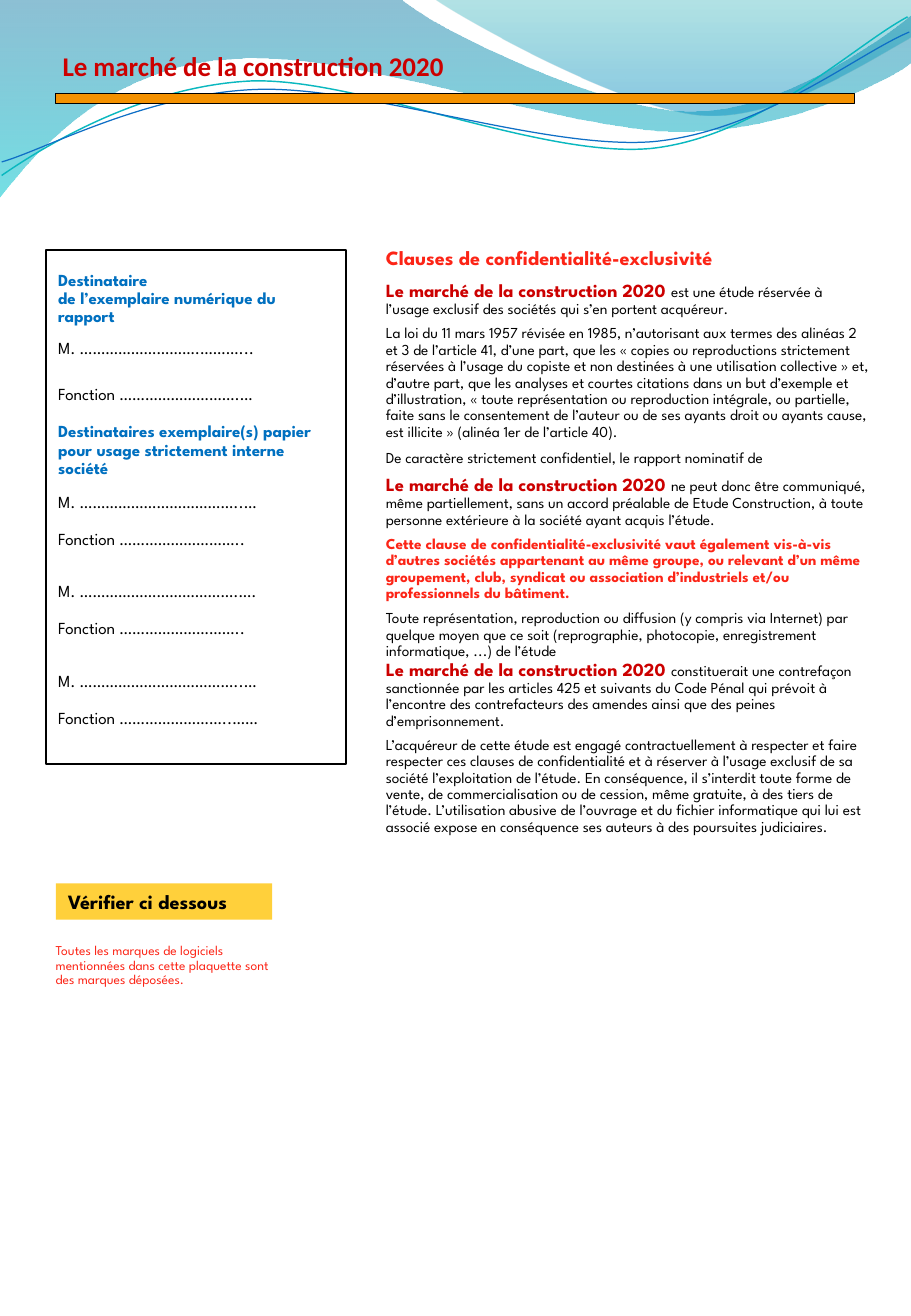
import pptx
import pptx.util
import pptx.dml.color
import pptx.enum.text
import pptx.enum.shapes
import pptx.oxml.ns
import lxml.etree

Pt = pptx.util.Pt
ANCHOR = pptx.enum.text.MSO_ANCHOR
RECTANGLE = pptx.enum.shapes.MSO_SHAPE.RECTANGLE
qn = pptx.oxml.ns.qn

COLORS = {"black": "000000", "crimson": "CC0000", "red": "FC2416", "blue": "0070C0",
          "orange": "F49100", "yellow": "FFD03B", "teal line": "0AB8BF", "blue line": "0F6FC6",
          "deep blue": "0074A1", "turquoise": "00C6CF", "teal": "00A1A9", "sky": "008BBF"}
BODY_FONT = "League Spartan"
# style: font, size, colour, bold
STYLES = {"title": ("Calibri", 16, "crimson", True),
          "heading": (BODY_FONT, 12, "red", True),
          "study": (BODY_FONT, 11, "crimson", True),
          "body": (BODY_FONT, 9, "black", False),
          "warning": (BODY_FONT, 9, "red", True),
          "recipient": (BODY_FONT, 10, "blue", True),
          "field": (BODY_FONT, 10, "black", False),
          "notice": (BODY_FONT, 8, "red", False),
          "label": (BODY_FONT, 12, "black", True)}
STUDY = "Le marché de la construction 2020"


def rgb(name):
    """Return the named colour."""
    return pptx.dml.color.RGBColor.from_string(COLORS[name])


def set_font(font, style):
    """Apply a named text style to a font."""
    font.name, size, color, font.bold = STYLES[style]
    font.size = Pt(size)
    font.color.rgb = rgb(color)


def write_text(shape, paragraphs, inset_top=3.6, anchor=ANCHOR.TOP, line_spacing=0.9):
    """Fill a shape with (space before, [(text, style), ...]) paragraphs."""
    frame = shape.text_frame
    frame.word_wrap = True
    frame.vertical_anchor = anchor
    frame.margin_left = frame.margin_right = Pt(7.2)
    frame.margin_top, frame.margin_bottom = Pt(inset_top), Pt(3.6)
    for index, (space, spans) in enumerate(paragraphs):
        para = frame.add_paragraph() if index else frame.paragraphs[0]
        para.alignment = pptx.enum.text.PP_ALIGN.LEFT
        para.line_spacing = line_spacing
        para.space_before = Pt(space)
        for text, style in spans:
            span = para.add_run()
            span.text = text
            set_font(para.font if len(spans) == 1 else span.font, style)


def add_rectangle(page, box, fill=None, line=None, line_width=1):
    """Add a plain rectangle with an optional fill and outline."""
    shape = page.shapes.add_shape(RECTANGLE, *map(Pt, box))
    shape.shadow.inherit = False
    if fill:
        shape.fill.solid()
        shape.fill.fore_color.rgb = rgb(fill)
    else:
        shape.fill.background()
    if line:
        shape.line.color.rgb = rgb(line)
        shape.line.width = Pt(line_width)
    else:
        shape.line.fill.background()
    return shape


def add_text(page, box, paragraphs, **options):
    """Add a text box holding the given paragraphs."""
    write_text(page.shapes.add_textbox(*map(Pt, box)), paragraphs, **options)


def add_curve(page, box, start, segments, closed=False):
    """Draw an outline; segments of three points are Bezier curves, of one point lines."""
    left, top = box[:2]
    points = [(left + x, top + y) for segment in segments for x, y in segment]
    builder = page.shapes.build_freeform(left + start[0], top + start[1], scale=Pt(1))
    builder.add_line_segments(points, close=closed)
    shape = builder.convert_to_shape()
    shape.shadow.inherit = False
    lines = iter(shape.element.findall(".//" + qn("a:lnTo")))
    for segment in segments:
        steps = [next(lines) for point in segment]
        if len(steps) == 3:
            curve = lxml.etree.Element(qn("a:cubicBezTo"))
            steps[0].addprevious(curve)
            for step in steps:
                curve.append(step[0])
                step.getparent().remove(step)
    return shape


def fill_gradient(shape, stops):
    """Fill from top to bottom with (position, colour, opacity percent) stops."""
    shape.line.fill.background()
    shape.fill.gradient()
    shape.fill.gradient_angle = 270
    for stop, (position, color, opacity) in zip(shape.fill.gradient_stops, stops):
        stop.position = position
        stop.color.rgb = rgb(color)
    for node, (position, color, opacity) in zip(shape.element.iter(qn("a:srgbClr")), stops):
        lxml.etree.SubElement(node, qn("a:alpha"), val=str(opacity * 1000))


def add_waves(page, box):
    """Draw the two shaded waves and the two thin wave lines."""
    broad = add_curve(page, box, (0, 0), [
        [(238, 0)],
        [(257, 17.3), (358.6, 65.5), (409.7, 65.5)],
        [(460.8, 65.5), (517.7, 26.6), (540, 9.4)],
        [(540, 37.4)],
        [(531.4, 45.4), (469.4, 78.5), (402.5, 78.5)],
        [(335.5, 77.8), (205.9, 28.8), (139, 35.3)],
        [(69.8, 36.7), (24.5, 86.4), (0, 117.4)]], closed=True)
    fill_gradient(broad, [(0, "deep blue", 45), (1, "turquoise", 55)])
    corner = add_curve(page, box, (258.5, 0), [
        [(275, 11.5), (367.9, 64.1), (415.4, 67.7)],
        [(462.2, 72), (519.1, 33.1), (540, 21.6)],
        [(540, 0)]], closed=True)
    fill_gradient(corner, [(0, "teal", 30), (0.8, "sky", 45)])
    wave_lines = [
        ("teal line", 0.85, (0.7, 103.7), [
            [(26.6, 86.4), (85, 51.1), (149, 48.2)],
            [(213.1, 46.1), (321.1, 94.3), (385.9, 87.8)],
            [(450.7, 81.4), (506.2, 26.6), (537.8, 10.1)]]),
        ("blue line", 0.75, (0.7, 95.8), [
            [(25.9, 88.6), (87.8, 55.4), (152.6, 53.3)],
            [(216.7, 51.1), (323.3, 89.3), (387.4, 83.5)],
            [(452.2, 77.8), (507.6, 31.7), (539.3, 18.7)]])]
    for color, width, start, segments in wave_lines:
        wave = add_curve(page, box, start, segments)
        wave.fill.background()
        wave.line.color.rgb = rgb(color)
        wave.line.width = Pt(width)


def add_header(page, box):
    """Add the orange bar and the title above it."""
    left, top, width, height = box
    add_rectangle(page, (left + 2.9, top + 42.5, 473.8, 5.8), "orange", "black", 0.5)
    add_text(page, box, [(0, [(STUDY, "title")])], anchor=ANCHOR.MIDDLE, line_spacing=0.95)


def add_recipients(page, box):
    """Add the framed form naming the recipients."""
    rows = [
        (0, "Destinataire", "recipient"),
        (0, "de l’exemplaire numérique du rapport", "recipient"),
        (8, "M. ……………………….………...", "field"),
        (16.3, "Fonction ……………………….…", "field"),
        (11.5, "Destinataires exemplaire(s) papier pour usage strictement interne société",
         "recipient"),
        (9.2, "M. ………………………………..…", "field"),
        (11, "Fonction ………………………..", "field"),
        (20.5, "M. ……………………………….….", "field"),
        (11, "Fonction ………………………..", "field"),
        (20.5, "M. ………………………………..…", "field"),
        (11, "Fonction ……………………..……", "field")]
    paragraphs = [(space, [(text, style)]) for space, text, style in rows]
    write_text(add_rectangle(page, box, line="black"), paragraphs, inset_top=12.6)


def add_clauses(page, box):
    """Add the confidentiality clauses."""
    study = (STUDY + " ", "study")
    add_text(page, box, [
        (0, [("Clauses de confidentialité-exclusivité", "heading")]),
        (7, [study, ("est une étude réservée à l’usage exclusif des sociétés qui s’en portent "
                     "acquéreur.", "body")]),
        (4.5, [("La loi du 11 mars 1957 révisée en 1985, n’autorisant aux termes des alinéas 2 et "
                "3 de l’article 41, d’une part, que les «\u00a0copies ou reproductions strictement "
                "réservées à l’usage du copiste et non destinées à une utilisation "
                "collective\u00a0» et, d’autre part, que les analyses et courtes citations dans un "
                "but d’exemple et d’illustration, «\u00a0toute représentation ou reproduction "
                "intégrale, ou partielle, faite sans le consentement de l’auteur ou de ses ayants "
                "droit ou ayants cause, est illicite\u00a0» (alinéa 1er de l’article 40).",
                "body")]),
        (5.5, [("De caractère strictement confidentiel, le rapport nominatif de", "body")]),
        (5.5, [study, ("ne peut donc être communiqué, même partiellement, sans un accord préalable "
                       "de Etude Construction, à toute personne extérieure à la société ayant "
                       "acquis l’étude.", "body")]),
        (4.5, [("Cette clause de confidentialité-exclusivité vaut également vis-à-vis d’autres "
                "sociétés appartenant au même groupe, ou relevant d’un même groupement, club, "
                "syndicat ou association d’industriels et/ou professionnels du bâtiment.",
                "warning")]),
        (5, [("Toute représentation, reproduction ou diffusion (y compris via Internet) par "
              "quelque moyen que ce soit (reprographie, photocopie, enregistrement informatique, "
              "...) de l’étude", "body")]),
        (0, [study, ("constituerait une contrefaçon sanctionnée par les articles 425 et suivants "
                     "du Code Pénal qui prévoit à l’encontre des contrefacteurs des amendes ainsi "
                     "que des peines d’emprisonnement.", "body")]),
        (4.5, [("L’acquéreur de cette étude est engagé contractuellement à respecter et faire "
                "respecter ces clauses de confidentialité et à réserver à l’usage exclusif de sa "
                "société l’exploitation de l’étude. En conséquence, il s’interdit toute forme de "
                "vente, de commercialisation ou de cession, même gratuite, à des tiers de "
                "l’étude. L’utilisation abusive de l’ouvrage et du fichier informatique qui lui "
                "est associé expose en conséquence ses auteurs à des poursuites judiciaires.",
                "body")])])


def add_trademark_notice(page, box):
    """Add the yellow label and the trademark notice below it."""
    left, top, width, height = box
    label = add_rectangle(page, (left + 7.2, top, 128.2, 21.6), "yellow")
    write_text(label, [(0, [("Vérifier ci dessous", "label")])],
               anchor=ANCHOR.MIDDLE, line_spacing=1.0)
    notice = ("Toutes les marques de logiciels mentionnées dans cette plaquette sont "
              "des marques déposées.")
    add_text(page, (left, top + 32.4, width, height - 32.4), [(0, [(notice, "notice")])])


deck = pptx.Presentation()
deck.slide_width, deck.slide_height = Pt(540), Pt(779.76)
page = deck.slides.add_slide(deck.slide_layouts[6])
add_waves(page, (0, 0, 540, 118))
add_recipients(page, (27.4, 148.3, 177.8, 304.6))
add_clauses(page, (221.6, 143.3, 300.2, 413.3))
add_header(page, (30, 13, 491.8, 53.3))
add_trademark_notice(page, (25.9, 523.4, 153.4, 65.5))
deck.save("out.pptx")
